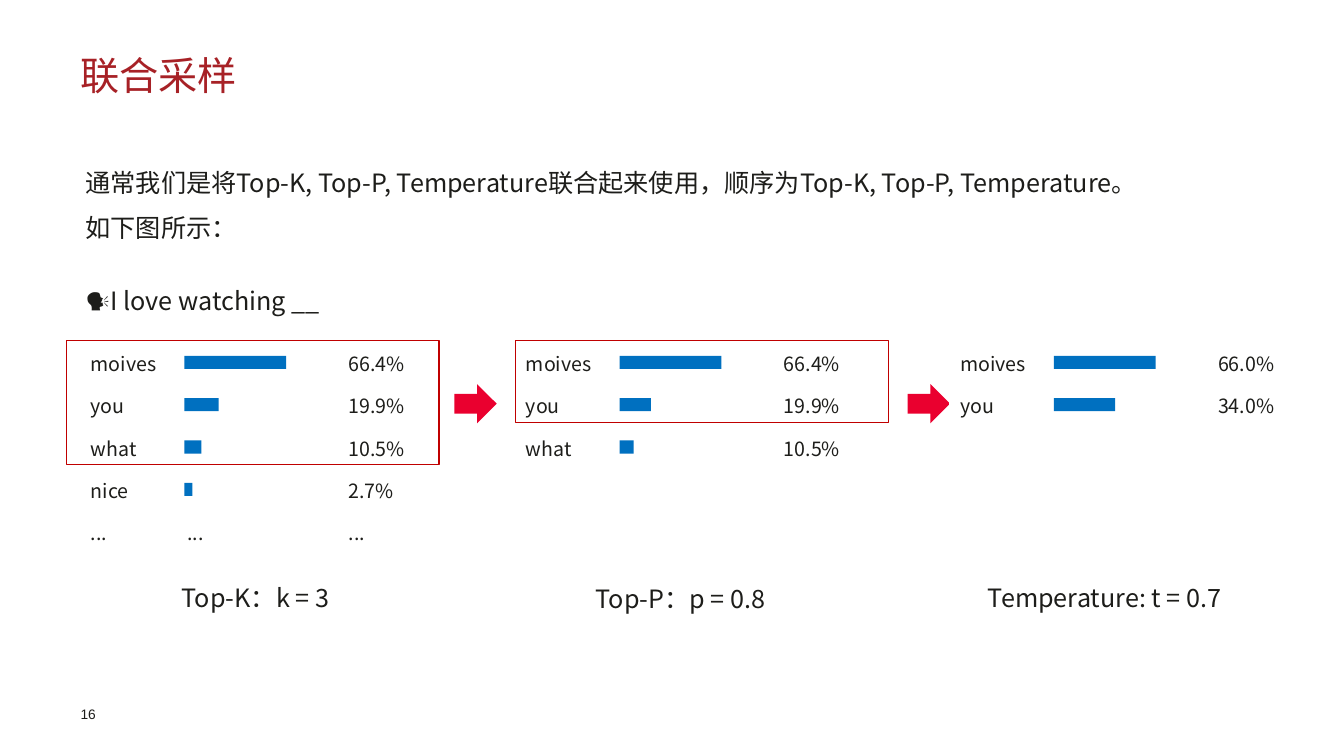
from dataclasses import dataclass
from typing import Optional

from pptx import Presentation
from pptx.dml.color import RGBColor
from pptx.enum.shapes import MSO_SHAPE
from pptx.enum.text import PP_ALIGN
from pptx.oxml.ns import qn
from pptx.util import Inches, Pt

COLORS = {
    "title": "A72126",
    "text": "1D1D1A",
    "page": "1D1D1B",
    "bar": "0070C0",
    "frame": "C00000",
    "arrow": "EA002F",
}
CJK = "Noto Sans CJK SC"
TABLE_TOP = 3.41
ROW_HEIGHT = 0.42
COLUMN_WIDTHS = (0.96, 1.6, 0.81)


@dataclass
class Token:
    word: str
    share: str
    bar: Optional[float] = None
    middle: str = ""


@dataclass
class Stage:
    left: float
    tokens: list[Token]
    caption: str
    caption_left: float
    caption_top: float = 5.55
    frame_left: float = 0
    kept: int = 0
    arrow_left: Optional[float] = None


@dataclass
class Label:
    left: float
    top: float
    width: float
    height: float
    lines: list[str]
    size: float = 18
    color: str = "text"
    font: str = CJK
    spacing: object = Pt(34.4)
    inset: bool = True
    align: PP_ALIGN = PP_ALIGN.LEFT


STAGES = [
    Stage(0.8, [Token("moives", "66.4%", 1.01), Token("you", "19.9%", 0.34),
                Token("what", "10.5%", 0.17), Token("nice", "2.7%", 0.08),
                Token("...", "...", middle="...")],
          "Top-K：k = 3", 0.68, frame_left=0.66, kept=3, arrow_left=4.51),
    Stage(5.12, [Token("moives", "66.4%", 1.01), Token("you", "19.9%", 0.31),
                 Token("what", "10.5%", 0.14)],
          "Top-P：p = 0.8", 4.9, 5.56, frame_left=5.12, kept=2, arrow_left=9.01),
    Stage(9.43, [Token("moives", "66.0%", 1.01), Token("you", "34.0%", 0.61)],
          "Temperature: t = 0.7", 9.11),
]

LABELS = [
    Label(0.8, 7, 0.55, 0.16, ["16"], 9.8, "page", "Arial", 1.0, False),
    Label(0.8, 0.5, 11.75, 0.44, ["联合采样"], 28, "title", spacing=Pt(34.3), inset=False),
    Label(0.75, 1.46, 11.42, 1.01,
          ["通常我们是将Top-K, Top-P, Temperature联合起来使用，顺序为Top-K, Top-P, Temperature。",
           "如下图所示："], spacing=1.5),
    Label(0.75, 2.6, 5.54, 0.58, ["🗣I love watching __"]),
]


def rgb(name: str) -> RGBColor:
    return RGBColor.from_string(COLORS[name])


def add_text(paragraph, text: str, size: float, color: str = "text", font: str = CJK) -> None:
    run = paragraph.add_run()
    run.text = text
    run.font.size = Pt(size)
    run.font.name = font
    run.font.color.rgb = rgb(color)
    east_asian = run.font._element.makeelement(qn("a:ea"), {"typeface": font})
    run.font._element.find(qn("a:latin")).addnext(east_asian)


def add_label(slide, label: Label) -> None:
    box = slide.shapes.add_textbox(Inches(label.left), Inches(label.top),
                                   Inches(label.width), Inches(label.height))
    frame = box.text_frame
    frame.word_wrap = True
    if not label.inset:
        frame.margin_left = frame.margin_right = frame.margin_top = frame.margin_bottom = 0
    for index, line in enumerate(label.lines):
        paragraph = frame.add_paragraph() if index else frame.paragraphs[0]
        paragraph.alignment = label.align
        paragraph.line_spacing = label.spacing
        add_text(paragraph, line, label.size, label.color, label.font)


def add_block(slide, preset: MSO_SHAPE, left: float, top: float, width: float, height: float,
              fill: Optional[str] = None, line: Optional[str] = None) -> None:
    block = slide.shapes.add_shape(preset, Inches(left), Inches(top), Inches(width), Inches(height))
    block.shadow.inherit = False
    if fill:
        block.fill.solid()
        block.fill.fore_color.rgb = rgb(fill)
    else:
        block.fill.background()
    if line:
        block.line.color.rgb = rgb(line)
        block.line.width = Pt(1)
    else:
        block.line.fill.background()


def add_token_table(slide, stage: Stage) -> None:
    rows = len(stage.tokens)
    table = slide.shapes.add_table(rows, len(COLUMN_WIDTHS), Inches(stage.left), Inches(TABLE_TOP),
                                   Inches(sum(COLUMN_WIDTHS)), Inches(ROW_HEIGHT * rows)).table
    table.first_row = table.horz_banding = False
    for column, width in zip(table.columns, COLUMN_WIDTHS):
        column.width = Inches(width)
    for row, token in enumerate(stage.tokens):
        table.rows[row].height = Inches(ROW_HEIGHT)
        for column, text in enumerate((token.word, token.middle, token.share)):
            cell = table.cell(row, column)
            cell.fill.background()
            if text:
                add_text(cell.text_frame.paragraphs[0], text, 14)


def add_stage(slide, stage: Stage) -> None:
    add_token_table(slide, stage)
    for row, token in enumerate(stage.tokens):
        if token.bar:
            add_block(slide, MSO_SHAPE.RECTANGLE, stage.left + 1.03,
                      TABLE_TOP + 0.12 + row * ROW_HEIGHT, token.bar, 0.13, fill="bar")
    if stage.kept:
        add_block(slide, MSO_SHAPE.RECTANGLE, stage.frame_left, TABLE_TOP - 0.03,
                  3.7, stage.kept * ROW_HEIGHT - 0.03, line="frame")
    if stage.arrow_left:
        add_block(slide, MSO_SHAPE.RIGHT_ARROW, stage.arrow_left, 3.81, 0.42, 0.39, fill="arrow")
    add_label(slide, Label(stage.caption_left, stage.caption_top, 3.71, 0.58,
                           [stage.caption], align=PP_ALIGN.CENTER))


def main() -> None:
    deck = Presentation()
    deck.slide_width = Inches(13.34)
    deck.slide_height = Inches(7.5)
    slide = deck.slides.add_slide(deck.slide_layouts[6])
    for label in LABELS:
        add_label(slide, label)
    for stage in STAGES:
        add_stage(slide, stage)
    deck.save("out.pptx")


if __name__ == "__main__":
    main()
